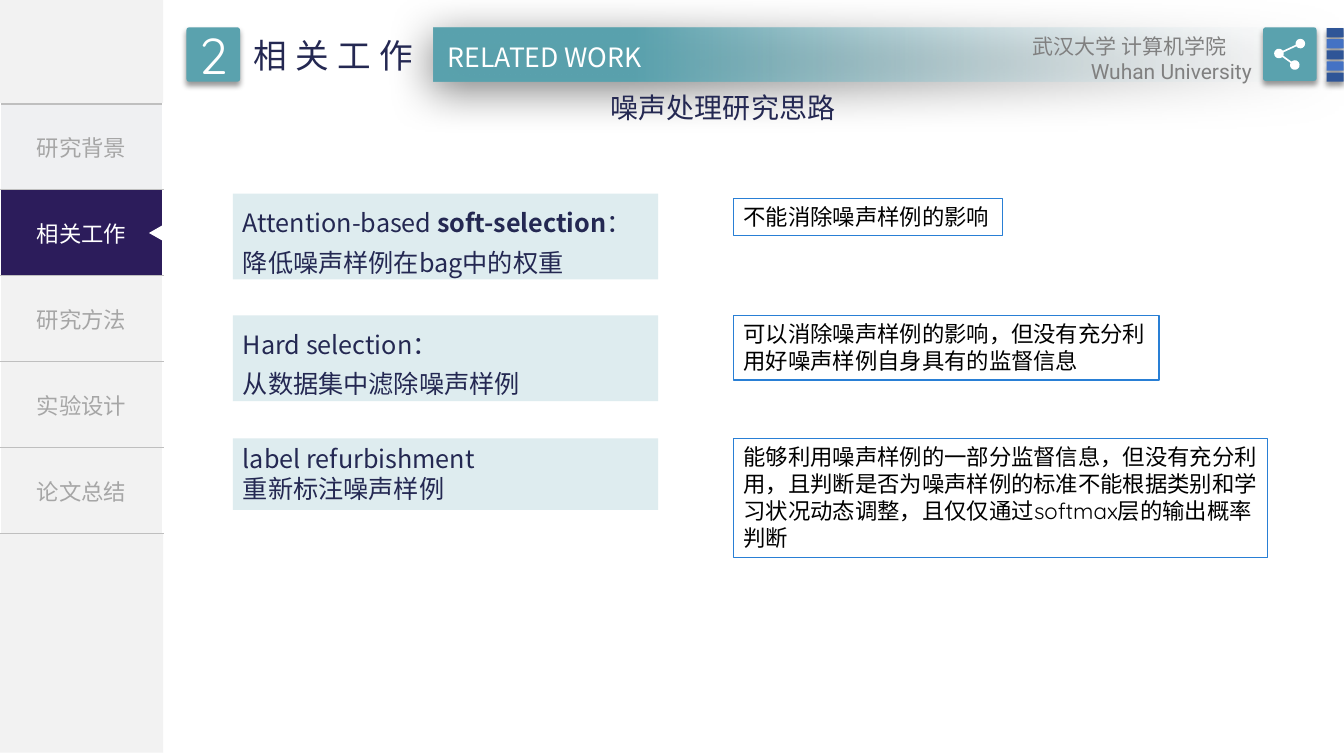
from dataclasses import dataclass
from math import atan2, cos, degrees, radians, sin

from lxml.etree import SubElement
from pptx import Presentation
from pptx.dml.color import RGBColor
from pptx.enum.shapes import MSO_SHAPE as Preset
from pptx.enum.text import MSO_ANCHOR as Anchor, MSO_AUTO_SIZE as AutoSize, PP_ALIGN as Align
from pptx.oxml.ns import qn
from pptx.util import Cm, Pt

WHITE = RGBColor(0xFF, 0xFF, 0xFF)
BLACK = RGBColor(0, 0, 0)
NAVY = RGBColor(0x24, 0x28, 0x52)
PURPLE = RGBColor(0x2C, 0x1C, 0x5B)
TEAL = RGBColor(0x5A, 0xA2, 0xAE)
PALE_TEAL = RGBColor(0xDE, 0xEC, 0xEF)
PALE_BLUE = RGBColor(0xF6, 0xF7, 0xFB)
BLUE = RGBColor(0x44, 0x72, 0xC4)
DARK_BLUE = RGBColor(0x2F, 0x55, 0x97)
OUTLINE = RGBColor(0x29, 0x7F, 0xD5)
PANEL = RGBColor(0xF2, 0xF2, 0xF2)
FIRST_TAB = RGBColor(0xEF, 0xF0, 0xF2)
RULE = RGBColor(0xBF, 0xBF, 0xBF)
MUTED = RGBColor(0xA6, 0xA6, 0xA6)
GREY = RGBColor(0x80, 0x80, 0x80)
NOTO, QUICKSAND, ROBOTO = "Noto Sans CJK SC", "Quicksand", "Roboto"


@dataclass
class Frame:
    left: float
    top: float
    width: float
    height: float

    def lengths(self) -> list:
        return [Cm(v) for v in (self.left, self.top, self.width, self.height)]


@dataclass
class Style:
    size: float
    color: RGBColor
    font: str = NOTO
    align: Align = Align.LEFT
    line_spacing: float = 1.0


@dataclass
class Shadow:
    opacity: int
    blur: float
    distance: float
    angle: int


@dataclass
class Approach:
    frame: Frame
    lines: list
    line_spacing: float
    note_frame: Frame
    note: str


SOFT = Shadow(40, 4, 3, 90)
WIDE = Shadow(50, 31, 6, 97)
APPROACHES = [
    Approach(Frame(5.87, 4.88, 10.72, 2.16),
             [["Attention-based ", "soft-selection", "：降低噪声样例在bag中的权重"]], 1.3,
             Frame(18.49, 5, 6.78, 0.94), "不能消除噪声样例的影响"),
    Approach(Frame(5.87, 7.95, 10.72, 2.16), [["Hard selection："], ["从数据集中滤除噪声样例"]], 1.3,
             Frame(18.49, 7.95, 10.72, 1.63),
             "可以消除噪声样例的影响，但没有充分利用好噪声样例自身具有的监督信息"),
    Approach(Frame(5.87, 11.05, 10.72, 1.8), [["label refurbishment"], ["重新标注噪声样例"]], 1.0,
             Frame(18.49, 11.05, 13.46, 3),
             "能够利用噪声样例的一部分监督信息，但没有充分利用，且判断是否为噪声样例的标准"
             "不能根据类别和学习状况动态调整，且仅仅通过softmax层的输出概率判断"),
]


def format_span(span, style: Style) -> None:
    span.font.size = Pt(style.size)
    span.font.name = style.font
    span.font.color.rgb = style.color
    SubElement(span.font._element, qn("a:ea"), typeface=NOTO)


def write(text_frame, lines: list, style: Style, wrap: bool = True, anchor: Anchor = Anchor.TOP) -> None:
    """Each line is a list of spans; the second span of a line is bold."""
    text_frame.word_wrap = wrap
    text_frame.auto_size = AutoSize.NONE if wrap else AutoSize.SHAPE_TO_FIT_TEXT
    text_frame.vertical_anchor = anchor
    for index, texts in enumerate(lines):
        para = text_frame.add_paragraph() if index else text_frame.paragraphs[0]
        para.alignment = style.align
        para.line_spacing = style.line_spacing
        for position, text in enumerate(texts):
            span = para.add_run()
            span.text = text
            span.font.bold = position == 1
            format_span(span, style)


def add_shadow(shape, shadow: Shadow) -> None:
    effects = shape._element.spPr.find(qn("a:effectLst"))
    outer = SubElement(effects, qn("a:outerShdw"), blurRad=str(Pt(shadow.blur)),
                       dist=str(Pt(shadow.distance)), dir=str(shadow.angle * 60000),
                       algn="t", rotWithShape="0")
    color = SubElement(outer, qn("a:srgbClr"), val="000000")
    SubElement(color, qn("a:alpha"), val=str(shadow.opacity * 1000))


def add_block(page, frame: Frame, fill: RGBColor, preset: Preset = Preset.RECTANGLE):
    box = page.shapes.add_shape(preset, *frame.lengths())
    box.shadow.inherit = False
    box.fill.solid()
    box.fill.fore_color.rgb = fill
    box.line.fill.background()
    return box


def add_tile(page, frame: Frame, fill: RGBColor):
    tile = add_block(page, frame, fill, Preset.ROUNDED_RECTANGLE)
    tile.adjustments[0] = 0.05
    add_shadow(tile, SOFT)
    return tile


def add_label(page, frame: Frame, lines: list, style: Style, wrap: bool = True):
    box = page.shapes.add_textbox(*frame.lengths())
    write(box.text_frame, lines, style, wrap)
    return box


def add_navigation(page) -> None:
    names = ["研究背景", "相关工作", "研究方法", "实验设计", "论文总结"]
    fills = [FIRST_TAB, PURPLE, PANEL, PANEL, PANEL]
    table = page.shapes.add_table(len(names), 1, *Frame(0, 2.62, 4.11, 10.82).lengths()).table
    table.first_row = table.horz_banding = False
    for row, (name, fill) in enumerate(zip(names, fills)):
        cell = table.cell(row, 0)
        color = WHITE if fill == PURPLE else MUTED
        write(cell.text_frame, [[name]], Style(16, color, align=Align.CENTER))
        cell.vertical_anchor = Anchor.MIDDLE
        properties = cell._tc.get_or_add_tcPr()
        for side in ("a:lnT", "a:lnB"):
            border = SubElement(properties, qn(side), w=str(Pt(1)))
            paint = SubElement(border, qn("a:solidFill"))
            SubElement(paint, qn("a:srgbClr"), val=str(RULE))
        cell.fill.solid()
        cell.fill.fore_color.rgb = fill
        properties.append(properties.find(qn("a:solidFill")))


def add_share_icon(page) -> None:
    top, left, bottom = (32.77, 1.1), (32.23, 1.35), (32.63, 1.64)
    radius, half_spoke = 0.12, 10

    def heading(start: tuple, end: tuple) -> float:
        return degrees(atan2(end[1] - start[1], end[0] - start[0]))

    def arc(center: tuple, leave: float, arrive: float) -> list:
        start = leave + half_spoke
        sweep = (arrive - half_spoke - start) % 360
        turns = [radians(start + sweep * step / 16) for step in range(17)]
        return [(Cm(center[0] + radius * cos(t)), Cm(center[1] + radius * sin(t))) for t in turns]

    to_top, to_bottom = heading(left, top), heading(left, bottom)
    points = (arc(top, to_top + 180, to_top + 180) + arc(left, to_top, to_bottom)
              + arc(bottom, to_bottom + 180, to_bottom + 180) + arc(left, to_bottom, to_top))
    builder = page.shapes.build_freeform(*points[0], scale=1.0)
    builder.add_line_segments(points[1:], close=True)
    icon = builder.convert_to_shape()
    icon.shadow.inherit = False
    icon.fill.solid()
    icon.fill.fore_color.rgb = WHITE
    icon.line.fill.background()


def add_header(page) -> None:
    # Banner fading out to the right
    banner = add_block(page, Frame(10.92, 0.71, 22.94, 1.35), TEAL)
    banner.fill.gradient()
    banner.fill.gradient_angle = 180
    for stop, position, color in zip(banner.fill.gradient_stops, (0, 0.78), (PALE_BLUE, TEAL)):
        stop.position = position
        stop.color.rgb = color
    clear = banner._element.spPr.find(".//" + qn("a:srgbClr"))
    SubElement(clear, qn("a:alpha"), val="0")
    add_shadow(banner, WIDE)
    # Section number and names
    badge = add_tile(page, Frame(4.7, 0.69, 1.35, 1.37), TEAL)
    write(badge.text_frame, [["2"]], Style(36, WHITE, QUICKSAND, Align.CENTER), anchor=Anchor.MIDDLE)
    add_label(page, Frame(10.87, 0.91, 5.71, 1.07), [["RELATED WORK"]],
              Style(19, WHITE, align=Align.CENTER), wrap=False)
    section = add_label(page, Frame(6.15, 0.76, 4.78, 1.27), [["相关工作"]], Style(24, NAVY), wrap=False)
    section.text_frame.paragraphs[0].runs[0].font._element.set("spc", "600")
    # Edge bars, share tile and affiliation
    for index in range(5):
        add_tile(page, Frame(33.43, 0.71 + 0.28 * index, 0.43, 0.23), BLUE if index % 2 else DARK_BLUE)
    add_tile(page, Frame(31.83, 0.69, 1.35, 1.35), TEAL)
    add_share_icon(page)
    school = add_label(page, Frame(25.78, 0.71, 6.02, 1.6),
                       [["武汉大学 计算机学院"], ["Wuhan University"]], Style(15, GREY))
    english = school.text_frame.paragraphs[1]
    english.alignment = Align.RIGHT
    english.runs[0].font.name = ROBOTO


def add_approach(page, approach: Approach) -> None:
    box = add_block(page, approach.frame, PALE_TEAL)
    write(box.text_frame, approach.lines, Style(18, NAVY, line_spacing=approach.line_spacing))
    note = add_block(page, approach.note_frame, WHITE)
    note.line.color.rgb = OUTLINE
    note.line.width = Pt(1)
    write(note.text_frame, [[approach.note]], Style(16, BLACK, QUICKSAND))


def main() -> None:
    deck = Presentation()
    deck.slide_width, deck.slide_height = Cm(33.87), Cm(19.05)
    page = deck.slides.add_slide(deck.slide_layouts[5])
    # Sidebar
    add_block(page, Frame(0, 0, 4.11, 18.97), PANEL)
    add_navigation(page)
    marker = add_block(page, Frame(3.73, 5.69, 0.41, 0.36), WHITE, Preset.ISOSCELES_TRIANGLE)
    marker.rotation = 270
    add_header(page)
    # Title, in front of the banner's shadow
    title = page.shapes.title
    title.left, title.top, title.width, title.height = Frame(15.14, 2.16, 6.22, 1.12).lengths()
    write(title.text_frame, [["噪声处理研究思路"]], Style(20, NAVY), wrap=False)
    title.element.getparent().append(title.element)
    # Approaches and their limits
    for approach in APPROACHES:
        add_approach(page, approach)
    deck.save("out.pptx")


if __name__ == "__main__":
    main()
